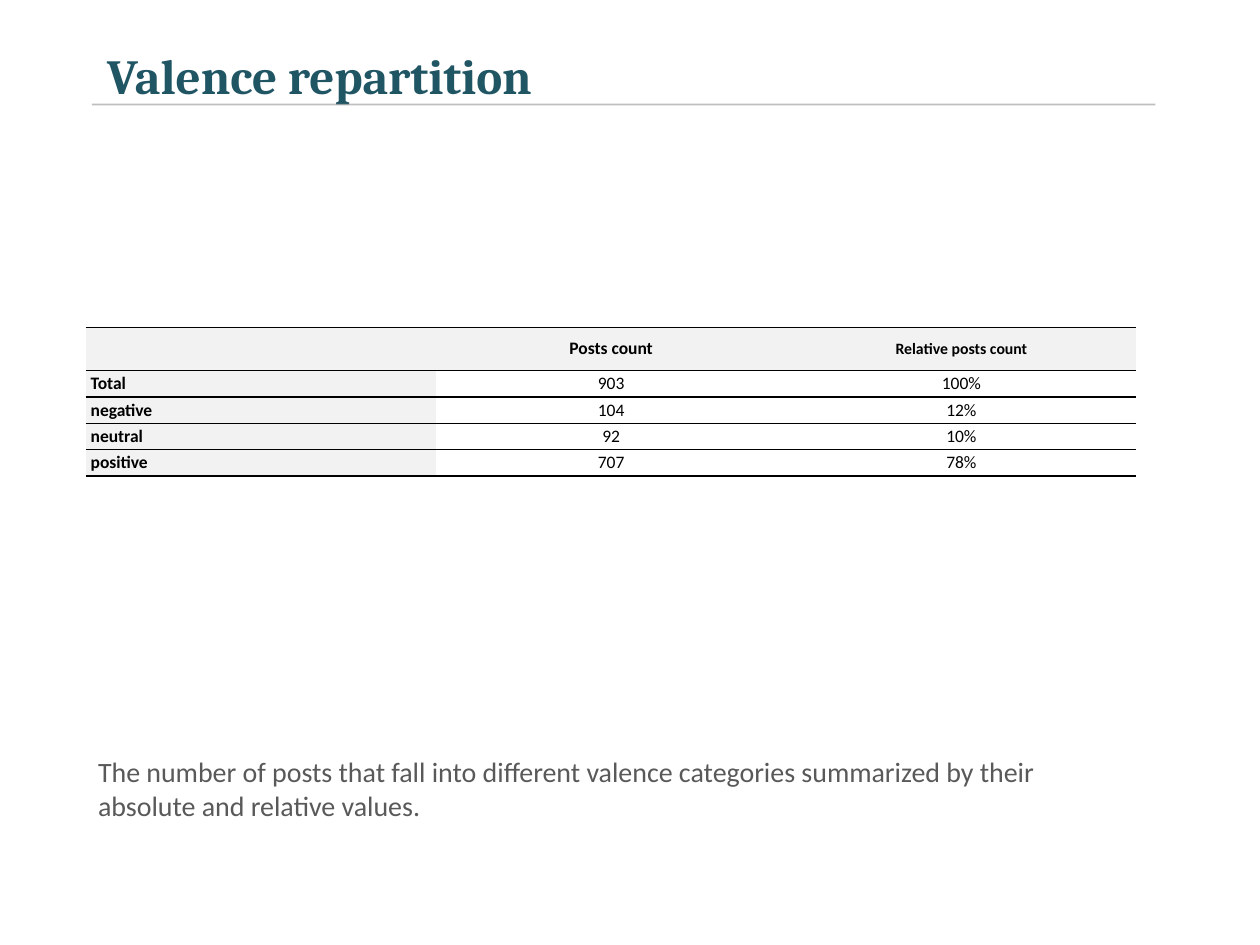
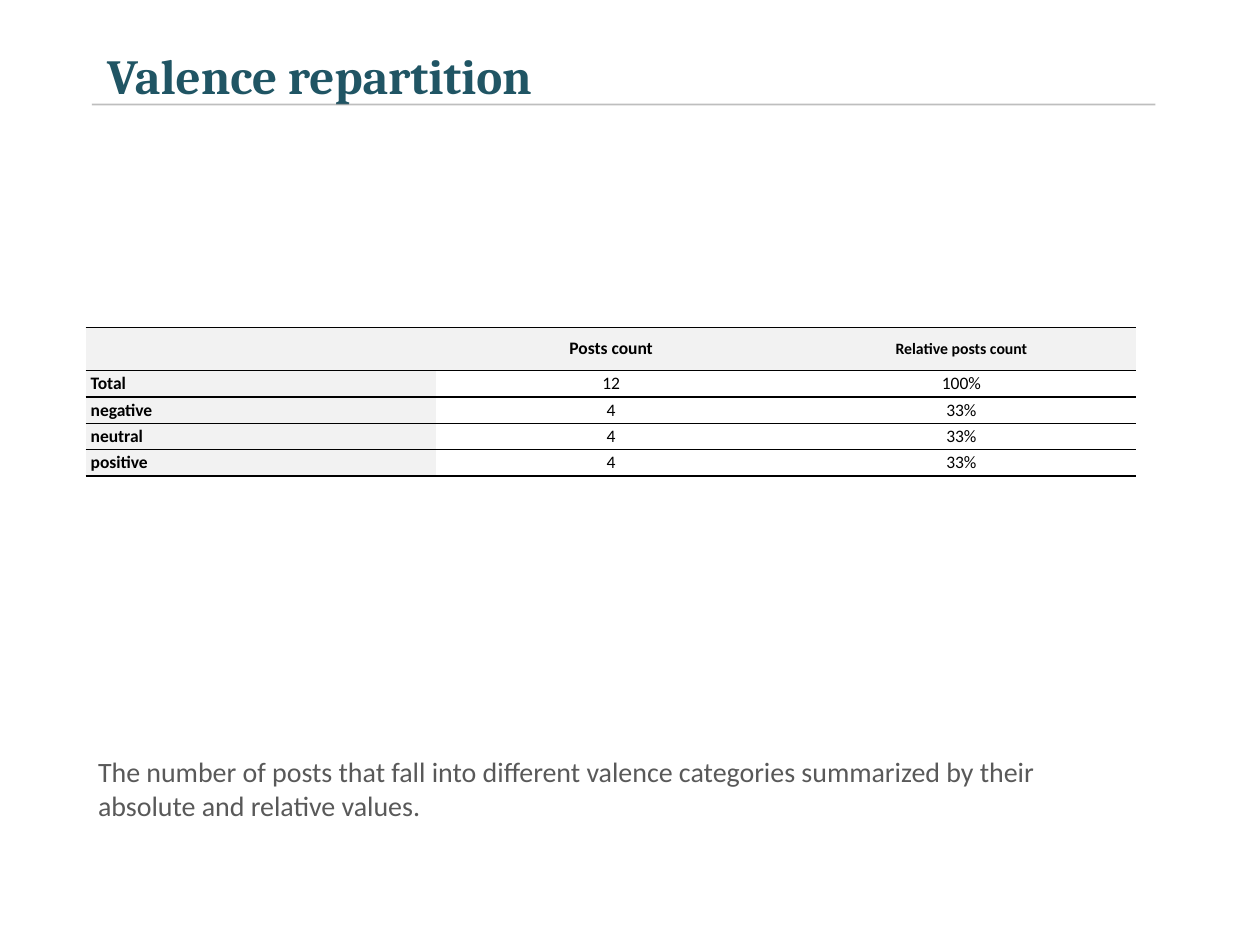
from lxml.etree import SubElement
from pptx import Presentation
from pptx.dml.color import RGBColor
from pptx.enum.shapes import MSO_CONNECTOR
from pptx.enum.text import MSO_ANCHOR, MSO_AUTO_SIZE, PP_ALIGN
from pptx.oxml.ns import qn
from pptx.util import Inches, Pt

BLACK, WHITE, TEAL = "000000", "FFFFFF", "205564"
HEADER_GRAY, RULE_GRAY, TEXT_GRAY = "F2F2F2", "7F7F7F", "595959"
BODY_FONT, TITLE_FONT = "Calibri", "Cambria"

TITLE = "Valence repartition"
CAPTION = ("The number of posts that fall into different valence categories "
           "summarized by their absolute and relative values.")
HEADINGS = ["", "Posts count", "Relative posts count"]
CATEGORIES = ["Total", "negative", "neutral", "positive"]
SLIDE_VALUES = [
    [("903", "100%"), ("104", "12%"), ("92", "10%"), ("707", "78%")],
    [("12", "100%"), ("4", "33%"), ("4", "33%"), ("4", "33%")],
]
COLUMN_WIDTH, HEADER_HEIGHT, ROW_HEIGHT = 2.78, 0.34, 0.21


def style_font(font, name, size, color, bold=False):
    font.name = name
    font.size = Pt(size)
    font.bold = bold
    font.color.rgb = RGBColor.from_string(color)


def rule_cell(cell):
    """Draw black lines above and below the cell and none at its sides."""
    properties = cell._tc.get_or_add_tcPr()
    for side in ("lnL", "lnR"):
        SubElement(SubElement(properties, qn("a:" + side)), qn("a:noFill"))
    for side in ("lnT", "lnB"):
        line = SubElement(properties, qn("a:" + side), w=str(Pt(1)))
        SubElement(SubElement(line, qn("a:solidFill")), qn("a:srgbClr"), val=BLACK)


presentation = Presentation()
presentation.slide_width = Inches(10)
presentation.slide_height = Inches(7.5)
title_only = presentation.slide_layouts.get_by_name("Title Only")

for values in SLIDE_VALUES:
    slide = presentation.slides.add_slide(title_only)

    title = slide.shapes.title
    title.left, title.top = Inches(0.75), Inches(0)
    title.width, title.height = Inches(8.33), Inches(0.83)
    frame = title.text_frame
    frame.text = TITLE
    frame.word_wrap = True
    frame.auto_size = MSO_AUTO_SIZE.SHAPE_TO_FIT_TEXT
    frame.vertical_anchor = MSO_ANCHOR.TOP
    frame.margin_top = Inches(0.36)
    paragraph = frame.paragraphs[0]
    paragraph.alignment = PP_ALIGN.LEFT
    style_font(paragraph.runs[0].font, TITLE_FONT, 28, TEAL, bold=True)

    title_rule = slide.shapes.add_connector(
        MSO_CONNECTOR.STRAIGHT, Inches(0.73), Inches(0.83), Inches(9.17), Inches(0.83))
    title_rule.line.width = Pt(1)
    title_rule.line.color.rgb = RGBColor.from_string(RULE_GRAY)
    rule_properties = title_rule._element.spPr
    rule_color = next(rule_properties.iter(qn("a:srgbClr")))
    SubElement(rule_color, qn("a:alpha"), val="49000")
    SubElement(rule_properties, qn("a:effectLst"))

    rows = [HEADINGS] + [[category, *counts] for category, counts in zip(CATEGORIES, values)]
    table = slide.shapes.add_table(
        len(rows), len(HEADINGS), Inches(0.68), Inches(2.6),
        Inches(COLUMN_WIDTH * len(HEADINGS)),
        Inches(HEADER_HEIGHT + ROW_HEIGHT * len(CATEGORIES))).table
    table.first_row = table.horz_banding = False
    for column in table.columns:
        column.width = Inches(COLUMN_WIDTH)

    for row_index, row in enumerate(rows):
        is_header = row_index == 0
        table.rows[row_index].height = Inches(HEADER_HEIGHT if is_header else ROW_HEIGHT)
        for column_index, text in enumerate(row):
            is_label = column_index == 0
            cell = table.cell(row_index, column_index)
            rule_cell(cell)
            cell.fill.solid()
            cell.fill.fore_color.rgb = RGBColor.from_string(
                HEADER_GRAY if is_header or is_label else WHITE)
            cell.vertical_anchor = MSO_ANCHOR.MIDDLE
            cell.margin_top = cell.margin_bottom = Inches(0.02)
            cell.margin_left = cell.margin_right = Inches(0.04 if is_label else 0)
            if not text:
                continue
            cell.text = text
            paragraph = cell.text_frame.paragraphs[0]
            paragraph.alignment = PP_ALIGN.LEFT if is_label else PP_ALIGN.CENTER
            size = 9 if is_header and column_index == 2 else 10
            style_font(paragraph.runs[0].font, BODY_FONT, size, BLACK,
                       bold=is_header or is_label)

    caption = slide.shapes.add_textbox(Inches(0.68), Inches(5.94), Inches(8.33), Inches(1.04))
    caption.text_frame.word_wrap = True
    caption.text_frame.text = CAPTION
    style_font(caption.text_frame.paragraphs[0].runs[0].font, BODY_FONT, 16, TEXT_GRAY)

presentation.save("out.pptx")
